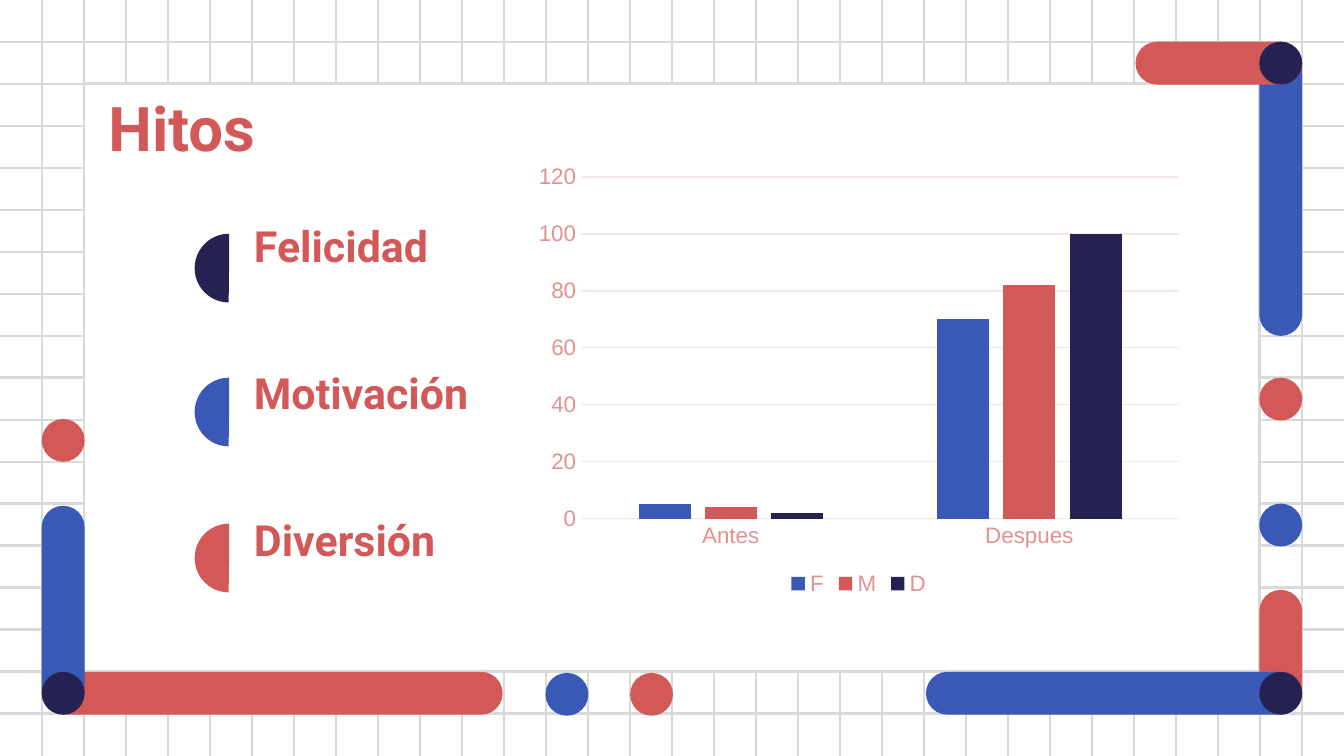
from dataclasses import dataclass
from typing import NamedTuple

from lxml import etree
from pptx import Presentation
from pptx import util as u
from pptx.chart.data import CategoryChartData
from pptx.dml.color import RGBColor
from pptx.enum import chart as ch, shapes as sh, text as tx
from pptx.oxml import ns


@dataclass(frozen=True)
class Theme:
    red: str = "D35858"
    blue: str = "3A59B6"
    navy: str = "252150"
    grey: str = "D9D9D9"
    white: str = "FFFFFF"
    pink: str = "E29292"
    pale: str = "F8E6E6"
    font: str = "Roboto"
    plain: str = "Arial"
    head: int = 33
    label: int = 23
    small: int = 12


T = Theme()
WIDE, HIGH = 25.4, 14.29
STEP = WIDE / 32
DOT = 0.81
LEFT, RIGHT, TOP, BASE = 0.79, 23.8, 0.79, 12.7


class Box(NamedTuple):
    x: float
    y: float
    w: float
    h: float


class Mark(NamedTuple):
    """A rounded bar, or a circle when both sides equal DOT."""
    color: str
    x: float
    y: float
    w: float = DOT
    h: float = DOT


class Goal(NamedTuple):
    name: str
    color: str
    text_y: float
    pie_y: float


class Group(NamedTuple):
    name: str
    color: str
    values: tuple[int, ...]


MARKS = [
    Mark(T.red, LEFT, BASE, w=8.71),
    Mark(T.blue, LEFT, 9.56, h=3.94),
    Mark(T.blue, 10.31, BASE + 0.02),
    Mark(T.red, LEFT, 7.92),
    Mark(T.red, RIGHT, 11.15, h=2.34),
    Mark(T.blue, 17.5, BASE, w=7.11),
    Mark(T.navy, RIGHT, BASE),
    Mark(T.blue, RIGHT, 9.52),
    Mark(T.red, RIGHT, 7.14),
    Mark(T.blue, RIGHT, TOP, h=5.56),
    Mark(T.red, 11.91, BASE + 0.02),
    Mark(T.red, 21.46, TOP, w=3.15),
    Mark(T.navy, RIGHT, TOP),
    Mark(T.navy, LEFT, BASE),
]
GOALS = [
    Goal("Felicidad", T.navy, 3.91, 4.42),
    Goal("Motivación", T.blue, 6.68, 7.14),
    Goal("Diversión", T.red, 9.45, 9.9),
]
TIMES = ["Antes", "Despues"]
GROUPS = [
    Group("F", T.blue, (5, 70)),
    Group("M", T.red, (4, 82)),
    Group("D", T.navy, (2, 100)),
]


def rgb(code: str) -> RGBColor:
    return RGBColor.from_string(code)


def place(box: Box) -> list[u.Cm]:
    return [u.Cm(v) for v in box]


def style(font, size: int, color: str, face: str, bold: bool = False) -> None:
    font.size, font.name, font.bold = u.Pt(size), face, bold
    font.color.rgb = rgb(color)


def edge(line, color: str, width: float) -> None:
    line.color.rgb, line.width = rgb(color), u.Pt(width)


def draw_line(page, x1: float, y1: float, x2: float, y2: float) -> None:
    line = page.shapes.add_connector(
        sh.MSO_CONNECTOR.STRAIGHT, *(u.Cm(v) for v in (x1, y1, x2, y2)))
    edge(line.line, T.grey, 1.5)
    etree.SubElement(line.element.spPr, ns.qn("a:effectLst"))


def draw_grid(page) -> None:
    for i in range(1, 18):
        draw_line(page, 0, i * STEP, WIDE, i * STEP)
    for i in range(1, 32):
        draw_line(page, i * STEP, 0, i * STEP, HIGH)


def draw_shape(page, kind, box: Box, color: str, *turns: float):
    shape = page.shapes.add_shape(kind, *place(box))
    shape.shadow.inherit = False
    shape.fill.solid()
    shape.fill.fore_color.rgb = rgb(color)
    shape.line.fill.background()
    for i, turn in enumerate(turns):
        shape.adjustments[i] = turn
    return shape


def draw_mark(page, mark: Mark) -> None:
    box = Box(*mark[1:])
    if box.w == box.h:
        draw_shape(page, sh.MSO_SHAPE.OVAL, box, mark.color)
    else:
        draw_shape(page, sh.MSO_SHAPE.ROUNDED_RECTANGLE, box, mark.color, 0.5)


def write(frame, words: str, size: int) -> None:
    frame.text = words
    frame.word_wrap = True
    frame.auto_size = tx.MSO_AUTO_SIZE.NONE
    frame.vertical_anchor = tx.MSO_ANCHOR.TOP
    frame.margin_left = frame.margin_right = u.Cm(0.25)
    frame.margin_top = frame.margin_bottom = u.Cm(0.25)
    line = frame.paragraphs[0]
    line.alignment = tx.PP_ALIGN.LEFT
    style(line.runs[0].font, size, T.red, T.font, True)


def draw_title(page) -> None:
    title = page.shapes.title
    title.left, title.top, title.width, title.height = place(
        Box(1.8, 1.45, 22.22, 1.6))
    write(title.text_frame, "Hitos", T.head)
    # Bring the title in front of the panel.
    title.element.getparent().append(title.element)


def draw_goal(page, goal: Goal) -> None:
    label = page.shapes.add_textbox(*place(Box(4.55, goal.text_y, 5.1, 1)))
    write(label.text_frame, goal.name, T.label)
    draw_shape(page, sh.MSO_SHAPE.PIE, Box(3.68, goal.pie_y, 1.3, 1.3),
               goal.color, 54.38, 162)


def draw_chart(page) -> None:
    data = CategoryChartData()
    data.categories = TIMES
    for group in GROUPS:
        data.add_series(group.name, group.values)
    chart = page.shapes.add_chart(
        ch.XL_CHART_TYPE.COLUMN_CLUSTERED,
        *place(Box(9.93, 2.95, 12.6, 8.41)), data).chart
    chart.has_title = False
    style(chart.font, T.small, T.pink, T.plain)
    chart.has_legend = True
    chart.legend.position = ch.XL_LEGEND_POSITION.BOTTOM
    chart.legend.include_in_layout = False
    style(chart.legend.font, T.small, T.pink, T.plain)

    plot = chart.plots[0]
    plot.gap_width, plot.overlap, plot.vary_by_categories = 219, -27, False
    for bar, group in zip(plot.series, GROUPS):
        bar.format.fill.solid()
        bar.format.fill.fore_color.rgb = rgb(group.color)

    for axis in (chart.category_axis, chart.value_axis):
        axis.major_tick_mark = axis.minor_tick_mark = ch.XL_TICK_MARK.NONE
        style(axis.tick_labels.font, T.small, T.pink, T.plain)
    edge(chart.category_axis.format.line, T.pale, 0.75)
    chart.value_axis.format.line.fill.background()
    edge(chart.value_axis.major_gridlines.format.line, T.pale, 0.75)


def main() -> None:
    deck = Presentation()
    deck.slide_width, deck.slide_height = u.Cm(WIDE), u.Cm(HIGH)
    page = deck.slides.add_slide(deck.slide_layouts[5])
    draw_grid(page)
    panel = draw_shape(page, sh.MSO_SHAPE.RECTANGLE,
                       Box(1.59, 1.58, 22.21, 11.12), T.white)
    edge(panel.line, T.grey, 1.5)
    for mark in MARKS:
        draw_mark(page, mark)
    draw_title(page)
    for goal in GOALS:
        draw_goal(page, goal)
    draw_chart(page)
    deck.save("out.pptx")


if __name__ == "__main__":
    main()
